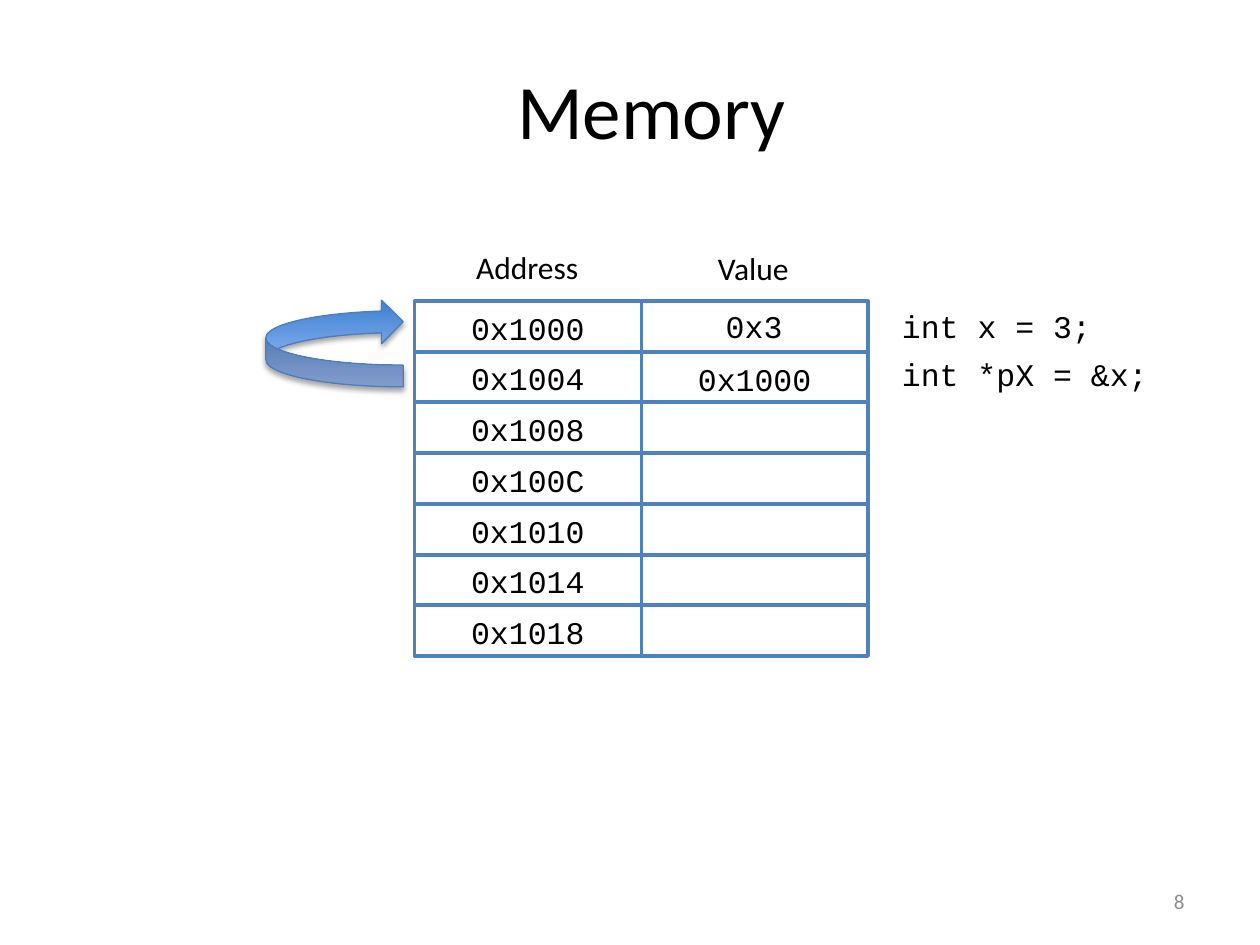
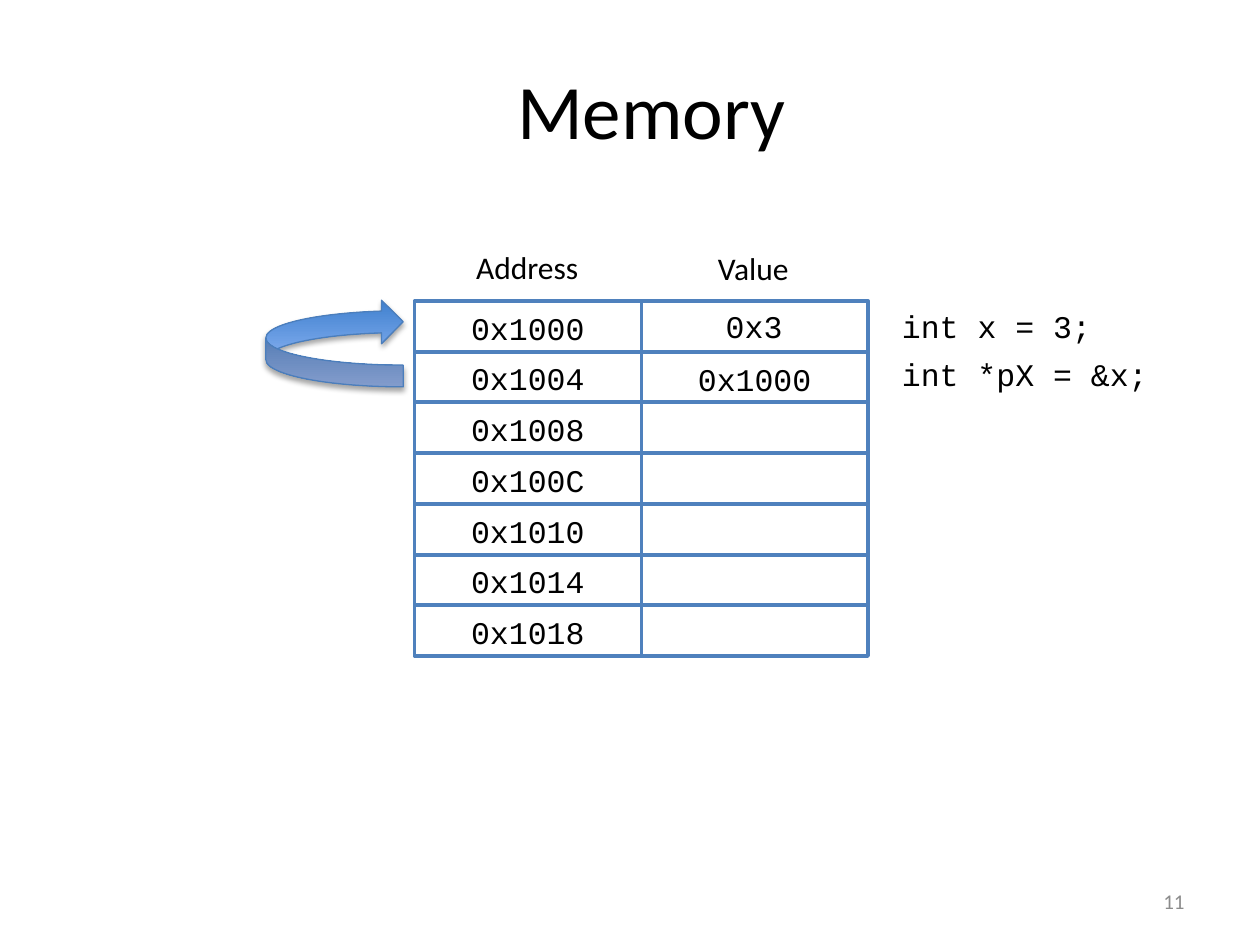
"""Build two Memory slides that show a pointer holding the address of a variable."""
from dataclasses import dataclass

from lxml.etree import SubElement
from pptx import Presentation
from pptx.dml.color import RGBColor as Color
from pptx.enum.shapes import MSO_SHAPE as Shape
from pptx.enum.text import MSO_ANCHOR as Anchor, MSO_AUTO_SIZE as AutoSize, PP_ALIGN as Align
from pptx.oxml.ns import qn
from pptx.util import Inches, Pt


@dataclass(frozen=True)
class Theme:
    text: Color = Color.from_string("000000")
    muted: Color = Color.from_string("8C8C8C")
    grid: Color = Color.from_string("4F81BD")
    arrow_line: Color = Color.from_string("4B7EBC")
    arrow_start: Color = Color.from_string("3F80CE")
    arrow_end: Color = Color.from_string("A4C4FF")
    body_font: str = "Calibri"
    code_font: str = "Courier New"
    title_size: int = 44
    body_size: int = 18
    number_size: int = 12


THEME = Theme()
PAGE_NUMBERS = [8, 11]
ADDRESSES = ["0x1000", "0x1004", "0x1008", "0x100C", "0x1010", "0x1014", "0x1018"]
GRID_LEFT, GRID_TOP = 3.29, 2.39
CELL_WIDTH, CELL_HEIGHT = 1.8, 0.4
ROW_PITCH = 2.82 / 7
CODE_LEFT = 7.06


def write(shape, text, font=THEME.body_font, size=THEME.body_size, color=THEME.text,
          align=Align.LEFT, anchor=Anchor.TOP, wrap=False, fit=AutoSize.SHAPE_TO_FIT_TEXT):
    frame = shape.text_frame
    frame.word_wrap = wrap
    frame.auto_size = fit
    frame.vertical_anchor = anchor
    paragraph = frame.paragraphs[0]
    paragraph.alignment = align
    run = paragraph.add_run()
    run.text = text
    run.font.name = font
    run.font.size = Pt(size)
    run.font.color.rgb = color


presentation = Presentation()
presentation.slide_width = Inches(10)
presentation.slide_height = Inches(7.5)
title_only = presentation.slide_layouts[5]

for page_number in PAGE_NUMBERS:
    slide = presentation.slides.add_slide(title_only)
    shapes = slide.shapes

    title = shapes.title
    title.left, title.top = Inches(0.67), Inches(0.41)
    title.width, title.height = Inches(9), Inches(0.9)
    write(title, "Memory", size=THEME.title_size, align=Align.CENTER,
          anchor=Anchor.MIDDLE, wrap=True, fit=AutoSize.NONE)

    number_box = shapes.add_textbox(Inches(7.17), Inches(6.95), Inches(2.33), Inches(0.4))
    write(number_box, str(page_number), size=THEME.number_size, color=THEME.muted,
          align=Align.RIGHT, anchor=Anchor.MIDDLE, wrap=True, fit=AutoSize.NONE)

    for column in range(2):
        for row in range(len(ADDRESSES)):
            cell = shapes.add_shape(
                Shape.RECTANGLE,
                Inches(GRID_LEFT + column * CELL_WIDTH), Inches(GRID_TOP + row * ROW_PITCH),
                Inches(CELL_WIDTH), Inches(CELL_HEIGHT))
            cell.fill.background()
            cell.line.color.rgb = THEME.grid
            cell.line.width = Pt(2)
            cell.shadow.inherit = False

    arrow = shapes.add_shape(Shape.CURVED_LEFT_ARROW, Inches(2.11), Inches(2.38),
                             Inches(1.09), Inches(0.69))
    arrow.rotation = 180
    arrow.fill.gradient()
    arrow.fill.gradient_angle = 90
    for stop, position, color in zip(arrow.fill.gradient_stops, (0, 1),
                                     (THEME.arrow_start, THEME.arrow_end)):
        stop.position = position
        stop.color.rgb = color
    arrow.line.color.rgb = THEME.arrow_line
    arrow.line.width = Pt(0.75)
    arrow.shadow.inherit = False
    effects = arrow.element.spPr.find(qn("a:effectLst"))
    shadow = SubElement(effects, qn("a:outerShdw"), blurRad=str(Pt(3.1)), dist=str(Pt(1.8)),
                        dir="5400000", rotWithShape="0")
    shadow_color = SubElement(shadow, qn("a:srgbClr"), val="000000")
    SubElement(shadow_color, qn("a:alpha"), val="35000")

    labels = [
        ("Address", 3.68, 1.92, 1.02, THEME.body_font),
        ("Value", 5.6, 1.93, 0.77, THEME.body_font),
        ("int x = 3;", CODE_LEFT, 2.39, 1.71, THEME.code_font),
        ("int *pX = &x;", CODE_LEFT, 2.77, 2.16, THEME.code_font),
        ("0x1000", 5.44, 2.81, 1.11, THEME.code_font),
    ]
    labels += [(address, 3.64, GRID_TOP + 0.01 + row * ROW_PITCH, 1.11, THEME.code_font)
               for row, address in enumerate(ADDRESSES)]
    for text, left, top, width, font in labels:
        label = shapes.add_textbox(Inches(left), Inches(top), Inches(width), Inches(0.4))
        write(label, text, font=font)

    value = shapes.add_textbox(Inches(5.3), Inches(GRID_TOP), Inches(1.37), Inches(0.4))
    write(value, "0x3", font=THEME.code_font, align=Align.CENTER, wrap=True)

presentation.save("out.pptx")
